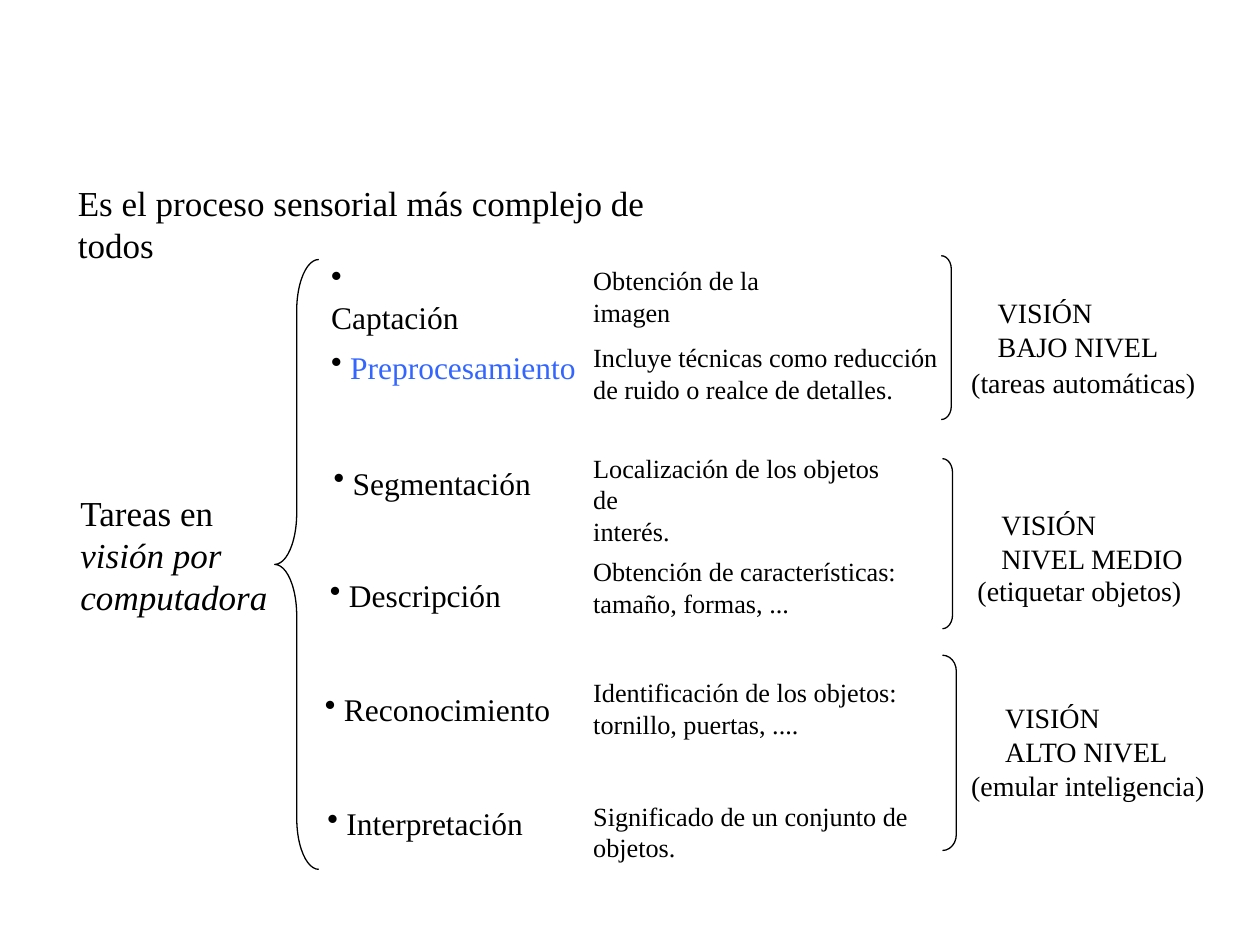
import pptx
import pptx.dml.color
import pptx.enum.shapes
import pptx.enum.text
import pptx.util
from lxml import etree
from pptx.util import Inches

BLACK = pptx.dml.color.RGBColor(0x00, 0x00, 0x00)
BLUE = pptx.dml.color.RGBColor(0x33, 0x66, 0xFF)
FONT = "Times New Roman"
SHAPES = pptx.enum.shapes.MSO_SHAPE

# name, left, top, width, colour
TASKS = [
    ("Captación", 2.53, 2.02, 1.36, BLACK),
    ("Preprocesamiento", 2.53, 2.71, 2.16, BLUE),
    ("Segmentación", 2.55, 3.63, 1.77, BLACK),
    ("Descripción", 2.52, 4.52, 1.56, BLACK),
    ("Reconocimiento", 2.48, 5.43, 2.01, BLACK),
    ("Interpretación", 2.5, 6.33, 1.75, BLACK),
]

# lines, top, width
DESCRIPTION_LEFT = 4.61
DESCRIPTIONS = [
    (["Obtención de la imagen"], 2.05, 2.15),
    (["Incluye técnicas como reducción", "de ruido o realce de detalles."], 2.66, 3.0),
    (["Localización de los objetos de", "interés."], 3.54, 2.65),
    (["Obtención de características:", "tamaño, formas, ..."], 4.36, 2.67),
    (["Identificación de los objetos:", "tornillo, puertas, ...."], 5.32, 2.68),
    (["Significado de un conjunto de", "objetos."], 6.3, 2.77),
]

# bracket (left, top, width, height, adjustment), title and its place, note and its place
LEVELS = [
    ((7.47, 2.03, 0.08, 1.3, 1.33), ["VISIÓN", "BAJO NIVEL"], (7.82, 2.3, 1.5),
     "(tareas automáticas)", (7.61, 2.85, 2.02)),
    ((7.48, 3.64, 0.08, 1.35, 1.38), ["VISIÓN", "NIVEL MEDIO"], (7.88 - 0.03, 3.98, 1.67),
     "(etiquetar objetos)", (7.66, 4.5, 1.86)),
    ((7.48, 5.2, 0.11, 1.55, 1.15), ["VISIÓN", "ALTO NIVEL"], (7.88, 5.51, 1.53),
     "(emular inteligencia)", (7.61, 6.05, 2.1)),
]


def add_text(page, lines, left, top, width, size):
    """Add a text box with one paragraph per line and return its paragraphs."""
    height = 0.1 + len(lines) * size * 1.2 / 72
    box = page.shapes.add_textbox(Inches(left), Inches(top), Inches(width), Inches(height))
    frame = box.text_frame
    frame.word_wrap = True
    frame.auto_size = pptx.enum.text.MSO_AUTO_SIZE.SHAPE_TO_FIT_TEXT
    frame.text = "\n".join(lines)
    for para in frame.paragraphs:
        para.font.name = FONT
        para.font.size = pptx.util.Pt(size)
        para.font.color.rgb = BLACK
    return frame.paragraphs


def add_task(page, name, left, top, width, colour):
    para = add_text(page, [" "], left, top, width, 18)[0]
    span = para.add_run()
    span.text = name
    if colour != BLACK:
        span.font.color.rgb = colour
    properties = para._p.get_or_add_pPr()
    bullet = etree.Element(pptx.oxml.ns.qn("a:buChar"), char="•")
    properties.insert(0, bullet)


def add_outline(page, kind, left, top, width, height, adjustment):
    """Add an unfilled brace or bracket."""
    shape = page.shapes.add_shape(
        kind, Inches(left), Inches(top), Inches(width), Inches(height))
    shape.adjustments[0] = adjustment
    shape.shadow.inherit = False
    shape.fill.background()
    shape.line.color.rgb = BLACK
    shape.line.width = pptx.util.Pt(0.75)


def main():
    deck = pptx.Presentation()
    deck.slide_width, deck.slide_height = Inches(10), Inches(7.5)
    page = deck.slides.add_slide(deck.slide_layouts[6])

    add_text(page, ["Es el proceso sensorial más complejo de todos"], 0.52, 1.39, 5.3, 20)
    heading = add_text(page, ["Tareas en", "visión por", "computadora"], 0.54, 3.85, 1.72, 20)
    for para in heading[1:]:
        para.font.italic = True

    add_outline(page, SHAPES.LEFT_BRACE, 2.18, 2.06, 0.35, 4.84, 1.16)
    for task in TASKS:
        add_task(page, *task)
    for lines, top, width in DESCRIPTIONS:
        add_text(page, lines, DESCRIPTION_LEFT, top, width, 15)
    for bracket, title, title_place, note, note_place in LEVELS:
        add_outline(page, SHAPES.RIGHT_BRACKET, *bracket)
        add_text(page, title, *title_place, 16)
        add_text(page, [note], *note_place, 16)

    deck.save("out.pptx")


if __name__ == "__main__":
    main()
